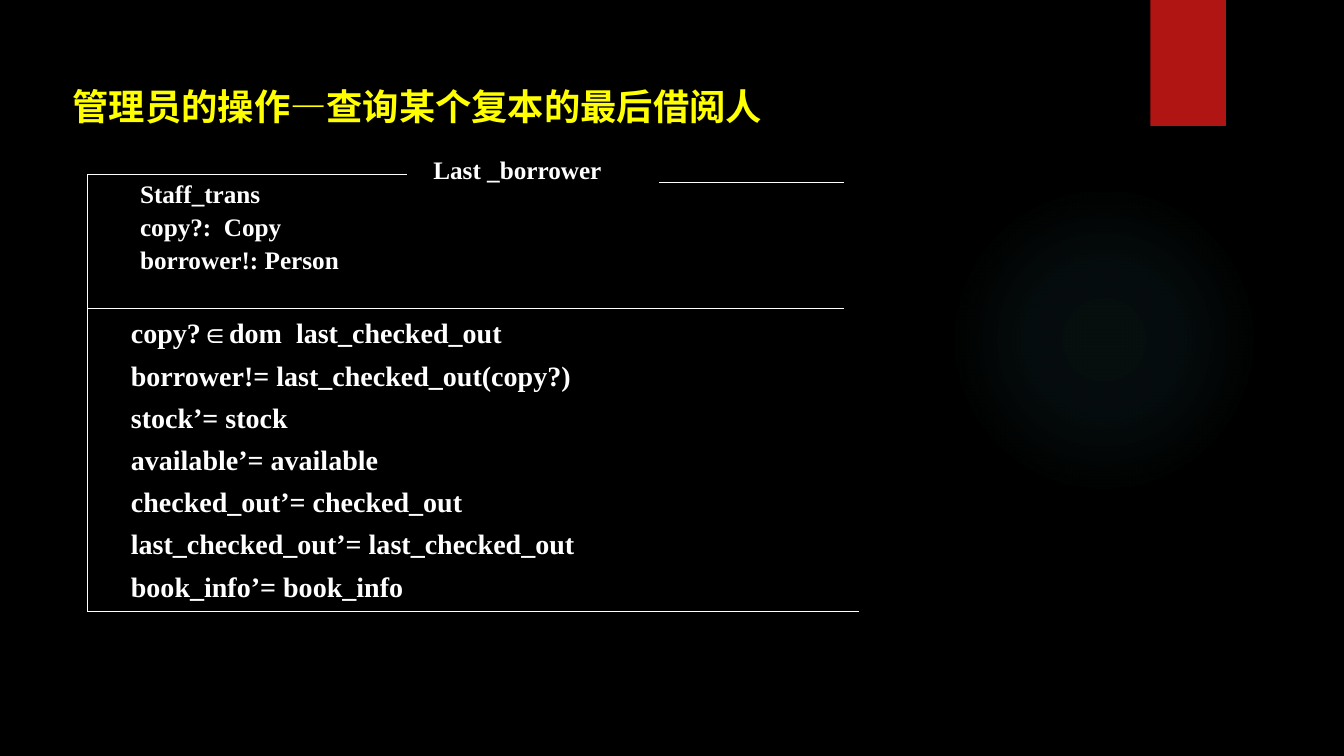
from lxml import etree
from pptx import Presentation
from pptx import util as u
from pptx.dml.color import RGBColor
from pptx.enum import shapes, text
from pptx.oxml import ns, parse_xml

COLORS = {"background": "000000", "text": "FFFFFF", "title": "FFFF00",
          "ribbon": "B01513", "glow": "50B9C1"}
SCHEMA_LEFT, SCHEMA_RIGHT = 0.87, 8.37
SCHEMA_TOP, SCHEMA_MIDDLE, SCHEMA_BOTTOM = 1.73, 3.06, 6.07


def color(name):
    return RGBColor.from_string(COLORS[name])


def place(*lengths):
    return [u.Inches(length) for length in lengths]


def style_font(font, name, size, color_name):
    font.name, font.size, font.bold = name, u.Pt(size), True
    font.color.rgb = color(color_name)


def add_plain_shape(slide, kind, box, fill):
    shape = slide.shapes.add_shape(kind, *place(*box))
    shape.shadow.inherit = False
    shape.line.fill.background()
    shape.fill.solid()
    shape.fill.fore_color.rgb = color(fill)
    return shape


def add_glow(slide):
    shape = add_plain_shape(slide, shapes.MSO_SHAPE.OVAL, (9.41, 1.83, 3.08, 3.08), "glow")
    # Radial fade of one colour, positions and opacities in percent
    stops = "".join(
        f'<a:gs pos="{position * 1000}"><a:srgbClr val="{COLORS["glow"]}">'
        f'<a:alpha val="{opacity * 1000}"/></a:srgbClr></a:gs>'
        for position, opacity in ((0, 7), (36, 6), (69, 0), (100, 0)))
    gradient = parse_xml(
        f'<a:gradFill {ns.nsdecls("a")} rotWithShape="1"><a:gsLst>{stops}</a:gsLst>'
        '<a:path path="circle"><a:fillToRect l="50000" t="50000" r="50000" b="50000"/>'
        '</a:path></a:gradFill>')
    properties = shape._element.spPr
    properties.replace(properties.find(ns.qn("a:solidFill")), gradient)


def add_title(slide, wording):
    title = slide.shapes.title
    title.left, title.top, title.width, title.height = place(0.62, 0.9, 8.75, 0.42)
    frame = title.text_frame
    frame.text = wording
    frame.word_wrap = True
    frame.auto_size = text.MSO_AUTO_SIZE.NONE
    frame.vertical_anchor = text.MSO_ANCHOR.TOP
    paragraph = frame.paragraphs[0]
    paragraph.alignment = text.PP_ALIGN.LEFT
    paragraph.line_spacing = 0.7
    style_font(paragraph.font, "Quicksand", 25.9, "title")


def add_line(slide, start, end):
    line = slide.shapes.add_connector(shapes.MSO_CONNECTOR.STRAIGHT, *place(*start, *end))
    line.line.color.rgb = color("text")
    line.line.width = u.Pt(0.75)
    etree.SubElement(line._element.spPr, ns.qn("a:effectLst"))


def add_text(slide, box, lines, size, line_spacing=1.0, gap=0):
    frame = slide.shapes.add_textbox(*place(*box)).text_frame
    frame.word_wrap = True
    for index, wording in enumerate(lines):
        paragraph = frame.add_paragraph() if index else frame.paragraphs[0]
        paragraph.text = wording
        paragraph.line_spacing = line_spacing
        if index:
            paragraph.space_before = u.Pt(gap)
        style_font(paragraph.font, "Times New Roman", size, "text")


def main():
    presentation = Presentation()
    presentation.slide_width, presentation.slide_height = place(13.33, 7.5)
    slide = presentation.slides.add_slide(presentation.slide_layouts[5])
    slide.background.fill.solid()
    slide.background.fill.fore_color.rgb = color("background")

    # Decoration and title
    add_glow(slide)
    add_plain_shape(slide, shapes.MSO_SHAPE.RECTANGLE, (11.41, 0, 0.75, 1.25), "ribbon")
    add_title(slide, "管理员的操作—查询某个复本的最后借阅人")

    # Schema frame, open on the right
    for start, end in (
        ((SCHEMA_LEFT, SCHEMA_TOP), (4.04, SCHEMA_TOP)),
        ((6.54, 1.81), (SCHEMA_RIGHT, 1.81)),
        ((SCHEMA_LEFT, SCHEMA_TOP), (SCHEMA_LEFT, SCHEMA_BOTTOM)),
        ((SCHEMA_LEFT, SCHEMA_MIDDLE), (SCHEMA_RIGHT, SCHEMA_MIDDLE)),
        ((SCHEMA_LEFT, SCHEMA_BOTTOM), (8.52, SCHEMA_BOTTOM)),
    ):
        add_line(slide, start, end)

    # Schema name, declarations and predicates
    add_text(slide, (4.2, 1.48, 2.5, 0.4), ["Last _borrower"], 18)
    add_text(slide, (1.29, 1.81, 6.58, 0.99),
             ["Staff_trans", "copy?:  Copy", "borrower!: Person"], 18, 0.65, 9.7)
    add_text(slide, (1.2, 3.15, 8.5, 3.5),
             ["copy?∈dom  last_checked_out",
              "borrower!= last_checked_out(copy?)",
              "stock’= stock",
              "available’= available",
              "checked_out’= checked_out",
              "last_checked_out’= last_checked_out",
              "book_info’= book_info"], 20, 0.8, 10.9)

    presentation.save("out.pptx")


if __name__ == "__main__":
    main()
